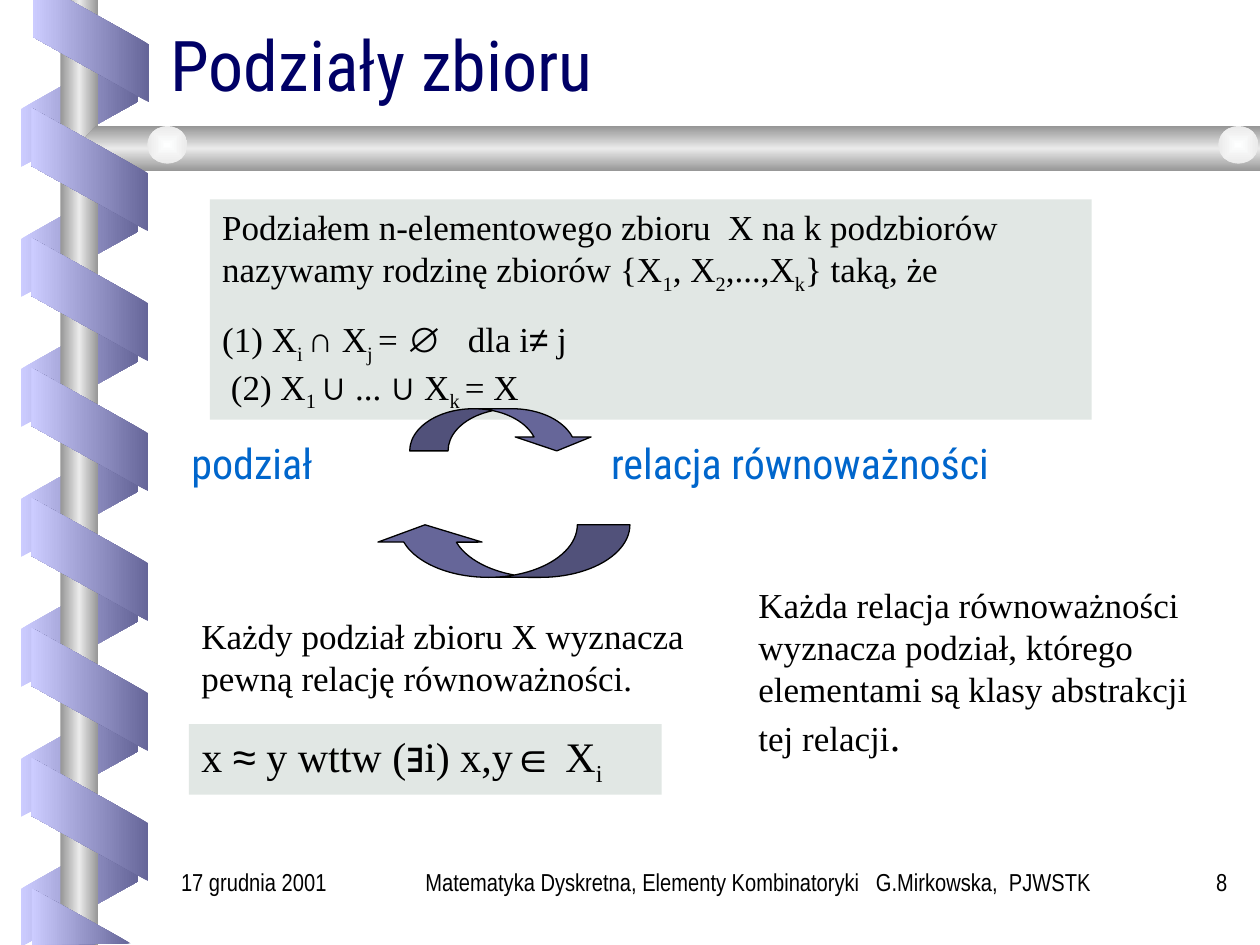
from lxml import etree
from pptx import Presentation
from pptx.dml.color import RGBColor
from pptx.enum.shapes import MSO_SHAPE as SHAPE
from pptx.enum.text import MSO_ANCHOR as ANCHOR, PP_ALIGN as ALIGN
from pptx.oxml.ns import qn
from pptx.util import Cm, Pt

NAVY = RGBColor(0x00, 0x00, 0x66)
BLUE = RGBColor(0x00, 0x66, 0xCC)
BLACK = RGBColor(0x00, 0x00, 0x00)
PANEL = RGBColor(0xE1, 0xE7, 0xE4)
VIOLET = RGBColor(0x66, 0x66, 0x99)
LILAC = RGBColor(0xCC, 0xCC, 0xFF)
STEEL = RGBColor(0x96, 0x96, 0x96)
SILVER = RGBColor(0xEA, 0xEA, 0xEA)
PEARL = RGBColor(0xFE, 0xFF, 0xFF)
SERIF, SANS, NARROW, TITLE = "Times New Roman", "Arial", "Arial Narrow", "Roboto Condensed"


def paint(s, colors, angle=None):
    """Fill with evenly spaced gradient stops; without an angle, from the centre."""
    s.shadow.inherit = False
    s.line.fill.background()
    s.fill.gradient()
    grad = s.element.spPr.find(qn("a:gradFill"))
    grad.set("rotWithShape", "0")
    for child in list(grad):
        grad.remove(child)
    stops = etree.SubElement(grad, qn("a:gsLst"))
    for i, color in enumerate(colors):
        stop = etree.SubElement(stops, qn("a:gs"), pos=str(100000 * i // (len(colors) - 1)))
        etree.SubElement(stop, qn("a:srgbClr"), val=str(color))
    if angle is None:
        path = etree.SubElement(grad, qn("a:path"), path="rect")
        etree.SubElement(path, qn("a:fillToRect"), l="50000", t="50000", r="50000", b="50000")
    else:
        etree.SubElement(grad, qn("a:lin"), ang=str(angle * 60000), scaled="0")


def write(s, paragraphs, size, font=SERIF, color=BLACK, align=ALIGN.LEFT, wrap=True):
    """Write paragraphs of runs; a run is text, (text, "sub"), (text, "sym") or a line break."""
    tf = s.text_frame
    tf.word_wrap = wrap
    tf.vertical_anchor = ANCHOR.TOP
    for i, runs in enumerate(paragraphs):
        p = tf.paragraphs[0] if i == 0 else tf.add_paragraph()
        p.alignment = align
        if i:
            p.space_before = Pt(12.5)
        for run in runs:
            if run == "\n":
                p.add_line_break()
                continue
            text, mark = (run, "") if isinstance(run, str) else run
            r = p.add_run()
            r.text = text
            r.font.size = Pt(size)
            r.font.name = SANS if mark == "sym" else font
            r.font.color.rgb = color
            if mark == "sub":
                r.font._element.set("baseline", "-25000")


prs = Presentation()
prs.slide_width, prs.slide_height = Cm(25.4), Cm(19.05)
slide = prs.slides.add_slide(prs.slide_layouts[5])
shapes = slide.shapes

# Back turns of the ribbon
for i in range(7):
    s = shapes.add_shape(SHAPE.PARALLELOGRAM, Cm(0.36), Cm(0.94 + 2.62 * i), Cm(2.49), Cm(2.36))
    s.adjustments[0] = 0.56
    s.rotation = 90
    s.element.spPr.xfrm.set("flipH", "1")
    paint(s, [LILAC, VIOLET], 180)

# Pole, beam and knobs
pole = shapes.add_shape(SHAPE.RECTANGLE, Cm(1.22), 0, Cm(0.76), Cm(19.05))
paint(pole, [STEEL, SILVER, STEEL], 180)
outlines = [
    ([(25.4, 2.54), (1.93, 2.54), (1.52, 3), (1.93, 3.45), (25.4, 3.45)],
     [STEEL, SILVER, STEEL], 90),
    ([(0.66, 0), (0.66, 0.74), (3, 2.06), (3, 0.89), (1.4, 0)], [VIOLET, LILAC], 180),
    ([(2.64, 19.02), (0.64, 17.91), (0.64, 19.05)], [VIOLET, LILAC], 180),
]
for points, colors, angle in outlines:
    points = [(Cm(x), Cm(y)) for x, y in points]
    builder = shapes.build_freeform(*points[0])
    builder.add_line_segments(points[1:], close=True)
    paint(builder.convert_to_shape(), colors, angle)
for x in (2.97, 24.56):
    s = shapes.add_shape(SHAPE.OVAL, Cm(x), Cm(2.54), Cm(0.81), Cm(0.76))
    paint(s, [PEARL, SILVER])

# Front turns of the ribbon
for i in range(6):
    s = shapes.add_shape(SHAPE.PARALLELOGRAM, Cm(0.57), Cm(2.24 + 2.62 * i), Cm(2.49), Cm(2.36))
    s.adjustments[0] = 0.56
    s.rotation = 270
    paint(s, [VIOLET, LILAC], 180)

# Title
title = shapes.title
title.left, title.top, title.width, title.height = Cm(3.18), Cm(0.64), Cm(21.59), Cm(1.6)
title.text_frame.text = "Podziały zbioru"
title.text_frame.vertical_anchor = ANCHOR.BOTTOM
p = title.text_frame.paragraphs[0]
p.alignment = ALIGN.LEFT
p.line_spacing = 0.8
p.font.size, p.font.name, p.font.color.rgb = Pt(40), TITLE, NAVY

# Shaded panels: definition and relation formula
definition = [
    ["Podziałem n-elementowego zbioru  X na k podzbiorów nazywamy rodzinę zbiorów {X",
     ("1", "sub"), ", X", ("2", "sub"), ",...,X", ("k", "sub"), "} taką, że"],
    ["(1) X", ("i ", "sub"), ("∩", "sym"), " X", ("j ", "sub"), "= ", ("∅", "sym"),
     "   dla i", ("≠", "sym"), " j", "\n",
     " (2) X", ("1 ", "sub"), ("∪", "sym"), " ... ", ("∪", "sym"), " X", ("k ", "sub"), "= X"],
]
formula = [["x ", ("≈", "sym"), " y wttw (", ("∃", "sym"), "i) x,y", ("∈", "sym"),
            " X", ("i", "sub")]]
panels = [
    (4.23, 4.02, 17.78, 4.44, definition, 20),
    (3.81, 14.6, 9.53, 1.42, formula, 24),
]
for x, y, w, h, paragraphs, size in panels:
    s = shapes.add_shape(SHAPE.RECTANGLE, Cm(x), Cm(y), Cm(w), Cm(h))
    s.shadow.inherit = False
    s.fill.solid()
    s.fill.fore_color.rgb = PANEL
    s.line.fill.background()
    write(s, paragraphs, size)

# Labels on both sides of the arrows
for x, w, text in [(3.61, 3.76, "podział"), (12.07, 11.99, "relacja równoważności")]:
    s = shapes.add_textbox(Cm(x), Cm(8.69), Cm(w), Cm(1.6))
    write(s, [[text]], 24, TITLE, BLUE, wrap=False)

# Curved arrows there and back
arrows = [
    (SHAPE.CURVED_UP_ARROW, 7.52, 10.58, 5.18, 1.06, (1.02, 1.98, 0.33)),
    (SHAPE.CURVED_DOWN_ARROW, 8.26, 8.24, 3.73, 0.85, (0.91, 1.8, 0.33)),
]
for kind, x, y, w, h, adjustments in arrows:
    s = shapes.add_shape(kind, Cm(x), Cm(y), Cm(w), Cm(h))
    for i, value in enumerate(adjustments):
        s.adjustments[i] = value
    if kind == SHAPE.CURVED_UP_ARROW:
        s.element.spPr.xfrm.set("flipH", "1")
    s.shadow.inherit = False
    s.fill.solid()
    s.fill.fore_color.rgb = VIOLET
    s.line.color.rgb = BLACK
    s.line.width = Pt(0.75)

# Statements
s = shapes.add_textbox(Cm(3.81), Cm(12.27), Cm(10.36), Cm(1.96))
write(s, [["Każdy podział zbioru X wyznacza pewną relację równoważności."]], 20)
s = shapes.add_textbox(Cm(15.04), Cm(11.63), Cm(9.53), Cm(3.81))
write(s, [["Każda relacja równoważności wyznacza podział, którego elementami są "
           "klasy abstrakcji tej relacji", "."]], 20)
s.text_frame.paragraphs[0].runs[-1].font.size = Pt(24)

# Footer: date, course, slide number
footer = [
    (3.4, 4.42, "17 grudnia 2001", ALIGN.LEFT),
    (8.05, 14.6, "Matematyka Dyskretna, Elementy Kombinatoryki   G.Mirkowska,  PJWSTK ", ALIGN.CENTER),
    (22.86, 2.13, "8", ALIGN.RIGHT),
]
for x, w, text, align in footer:
    s = shapes.add_textbox(Cm(x), Cm(17.35), Cm(w), Cm(1.27))
    write(s, [[text]], 14, NARROW, align=align)

prs.save("out.pptx")
